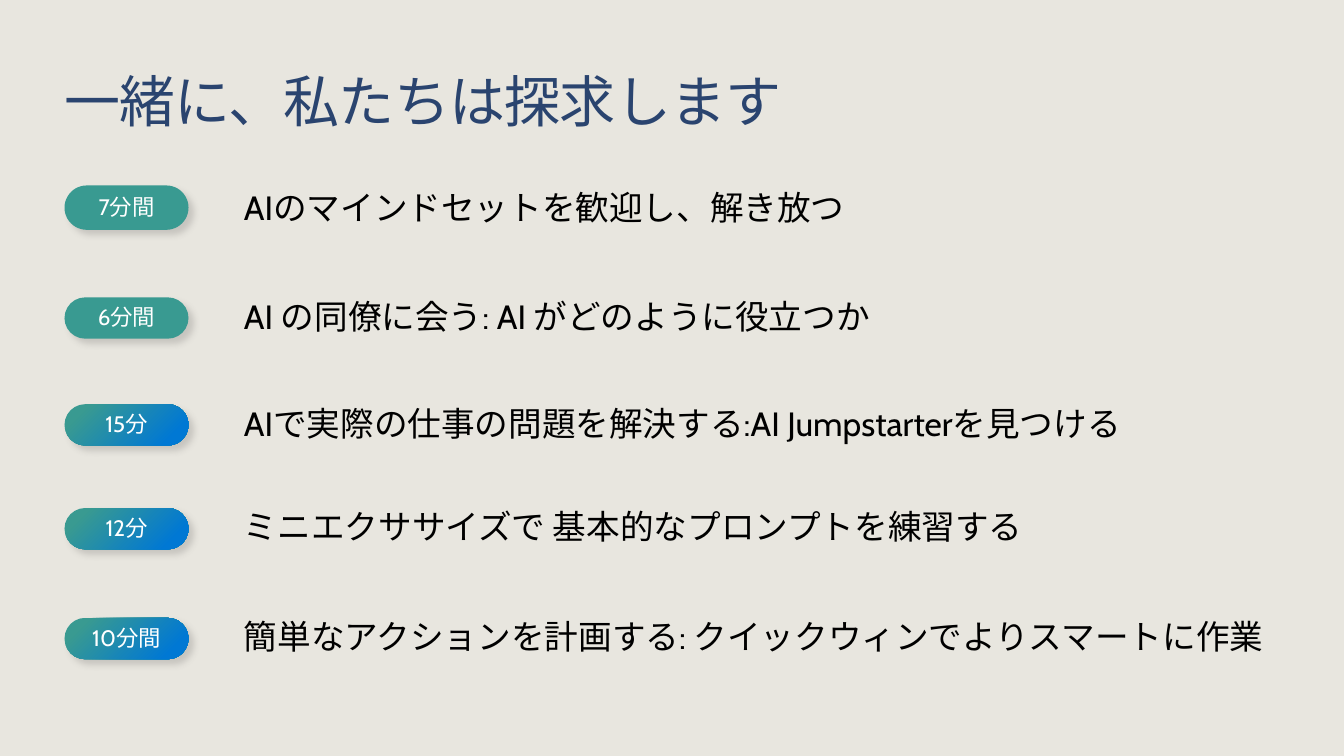
from lxml import etree
from pptx import Presentation
from pptx.dml.color import RGBColor
from pptx.enum.lang import MSO_LANGUAGE_ID
from pptx.enum.shapes import MSO_SHAPE
from pptx.enum.text import MSO_ANCHOR, MSO_AUTO_SIZE, PP_ALIGN
from pptx.oxml import parse_xml
from pptx.oxml.ns import nsdecls, qn
from pptx.util import Inches, Pt

PILL = MSO_SHAPE.ROUNDED_RECTANGLE
MIDDLE, BOTTOM = MSO_ANCHOR.MIDDLE, MSO_ANCHOR.BOTTOM
LEFT, CENTER = PP_ALIGN.LEFT, PP_ALIGN.CENTER
NO_AUTOFIT = MSO_AUTO_SIZE.NONE
JAPANESE = MSO_LANGUAGE_ID.JAPANESE
TITLE_ONLY = 5

TEAL, BLUE, NAVY = "399A91", "0078D4", "2A446F"
BLACK, WHITE, SAND = "000000", "FFFFFF", "E8E6DF"

# Duration, topic, pill top, pill height, topic top, has gradient
AGENDA = [
    ("7分間", "AIのマインドセットを歓迎し、解き放つ", 1.84, 0.44, 1.85, False),
    ("6分間", "AI の同僚に会う: AI がどのように役立つか", 2.95, 0.41, 2.94, False),
    ("15分", "AIで実際の仕事の問題を解決する:AI Jumpstarterを見つける", 4.01, 0.41, 4.0, True),
    ("12分", "ミニエクササイズで 基本的なプロンプトを練習する", 5.04, 0.41, 5.02, True),
    ("10分間", "簡単なアクションを計画する: クイックウィンでよりスマートに作業",
     6.13, 0.41, 6.11, True),
]


def rgb(value):
    return RGBColor.from_string(value)


class AgendaSlide:
    font_name = "Cabin"

    def __init__(self, presentation):
        self.slide = presentation.slides.add_slide(presentation.slide_layouts[TITLE_ONLY])
        self.slide.background.fill.solid()
        self.slide.background.fill.fore_color.rgb = rgb(SAND)

    def set_text(self, frame, text, size, color, align=LEFT, bottom=0):
        frame.margin_left = frame.margin_right = frame.margin_top = 0
        frame.margin_bottom = Inches(bottom)
        frame.word_wrap = True
        frame.auto_size = NO_AUTOFIT
        frame.text = text
        paragraph = frame.paragraphs[0]
        paragraph.alignment = align
        font = paragraph.runs[0].font
        font.name, font.size, font.color.rgb = self.font_name, Pt(size), rgb(color)
        font.language_id = JAPANESE
        return paragraph

    def title(self, text):
        heading = self.slide.shapes.title
        heading.left, heading.top = Inches(0.64), Inches(0.73)
        heading.width, heading.height = Inches(12.05), Inches(0.61)
        heading.text_frame.vertical_anchor = BOTTOM
        paragraph = self.set_text(heading.text_frame, text, 40, NAVY)
        paragraph.line_spacing = 0.9
        paragraph.runs[0].font._element.set("spc", "-50")

    def duration(self, text, top, height, has_gradient):
        pill = self.slide.shapes.add_shape(
            PILL, Inches(0.64), Inches(top), Inches(1.23), Inches(height))
        pill.adjustments[0] = 0.5
        pill.line.fill.background()
        if has_gradient:
            self.radial_fill(pill)
        else:
            pill.fill.solid()
            pill.fill.fore_color.rgb = rgb(TEAL)
        self.soft_shadow(pill)
        pill.text_frame.vertical_anchor = MIDDLE
        self.set_text(pill.text_frame, text, 16, WHITE, CENTER, bottom=0.02)

    def radial_fill(self, pill):
        pill.fill.gradient()
        for stop, position, color in zip(pill.fill.gradient_stops, (0.15, 0.85), (BLUE, TEAL)):
            stop.position = position
            stop.color.rgb = rgb(color)
        # Circle spreading from the bottom right corner
        gradient = pill._element.spPr.find(qn("a:gradFill"))
        gradient.remove(gradient.find(qn("a:lin")))
        circle = etree.SubElement(gradient, qn("a:path"), {"path": "circle"})
        etree.SubElement(circle, qn("a:fillToRect"), {"l": "100000", "t": "100000"})

    def soft_shadow(self, pill):
        pill.shadow.inherit = False
        effects = pill._element.spPr.find(qn("a:effectLst"))
        effects.append(parse_xml(
            f'<a:outerShdw {nsdecls("a")} blurRad="{Pt(5)}" dist="{Pt(5)}" dir="2700000"'
            ' algn="tl" rotWithShape="0"><a:srgbClr val="454142"><a:alpha val="20000"/>'
            '</a:srgbClr></a:outerShdw>'))

    def topic(self, text, top):
        box = self.slide.shapes.add_textbox(
            Inches(2.42), Inches(top), Inches(10.73), Inches(0.4))
        self.set_text(box.text_frame, text, 24, BLACK).space_after = Pt(12)


def main():
    presentation = Presentation()
    presentation.slide_width, presentation.slide_height = Inches(13.33), Inches(7.5)
    agenda = AgendaSlide(presentation)

    # Heading
    agenda.title("一緒に、私たちは探求します")

    # Agenda rows
    for duration, topic, pill_top, pill_height, topic_top, has_gradient in AGENDA:
        agenda.duration(duration, pill_top, pill_height, has_gradient)
        agenda.topic(topic, topic_top)

    presentation.save("out.pptx")


if __name__ == "__main__":
    main()
